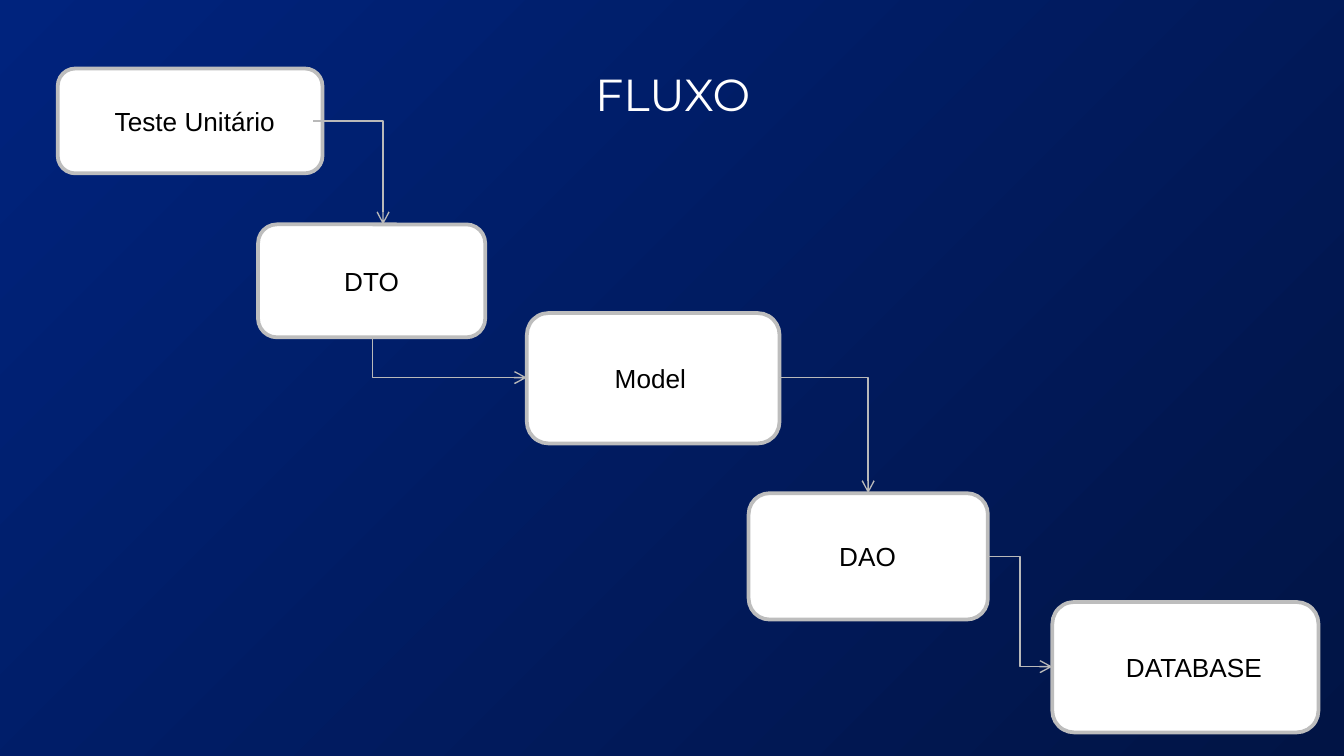
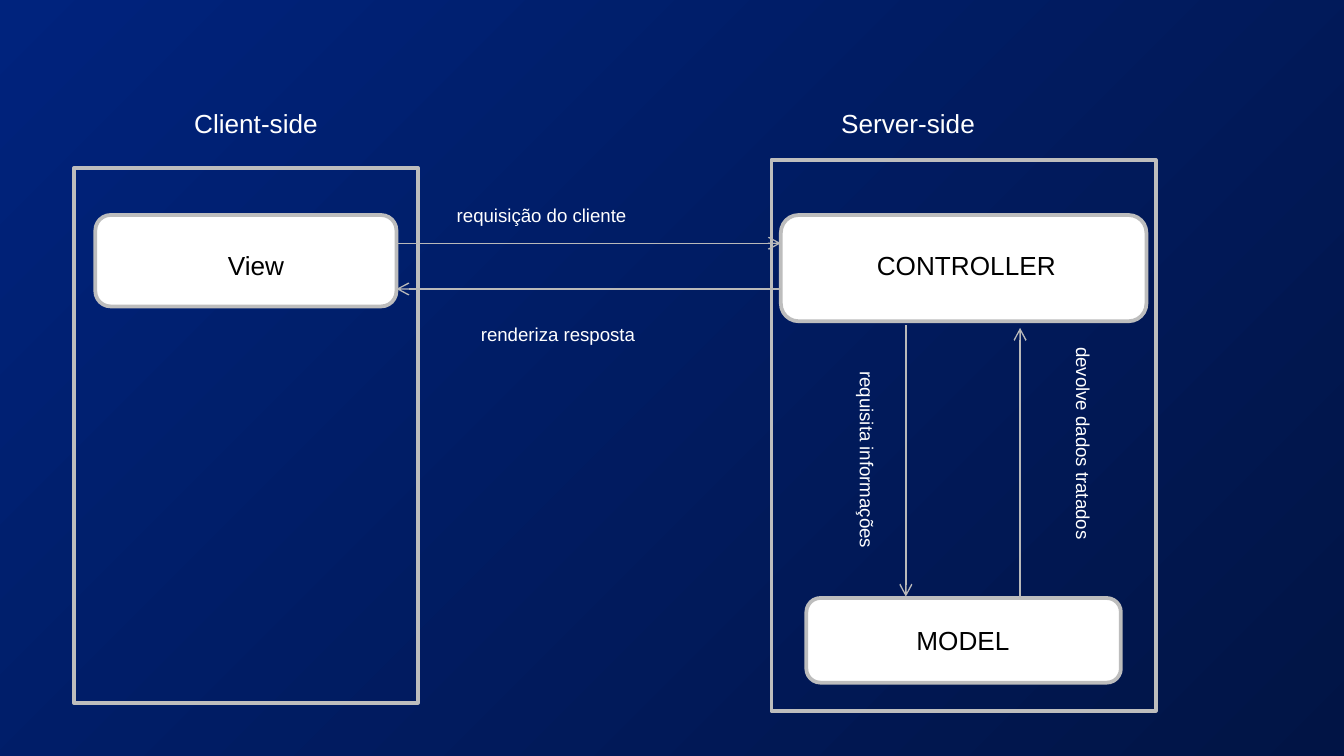
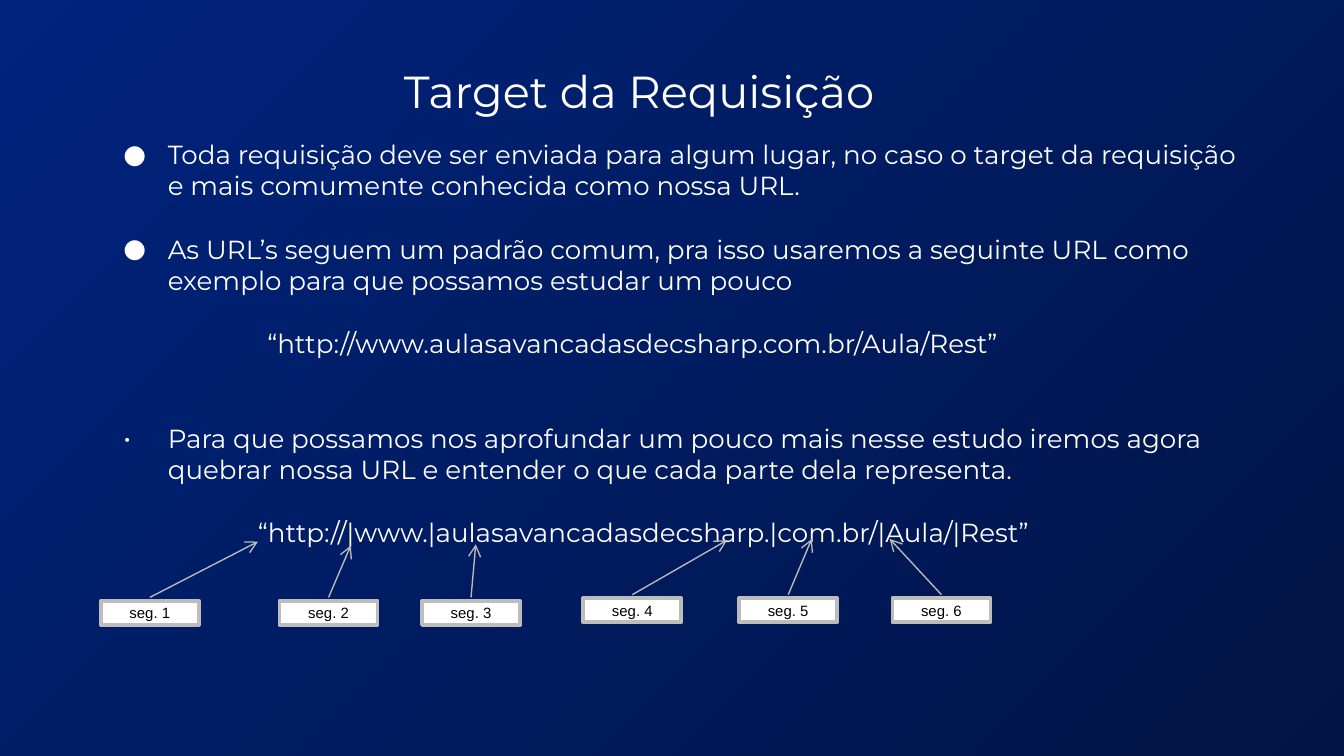
import pptx
import pptx.dml.color
import pptx.enum.shapes
import pptx.enum.text
import pptx.oxml
import pptx.oxml.ns
import pptx.util
from dataclasses import dataclass


@dataclass(frozen=True)
class Theme:
    bg_from: str = "00237D"
    bg_to: str = "011445"
    white: str = "FFFFFF"
    black: str = "000000"
    border: str = "BDBDBD"
    arrow: str = "B9B9B9"
    sans: str = "Arial"
    display: str = "Montserrat"
    title: int = 24
    body: int = 14
    note: int = 10
    tag: int = 8
    border_w: float = 2
    arrow_w: float = 0.75


T = Theme()
RGB = pptx.dml.color.RGBColor.from_string
Pt = pptx.util.Pt
qn = pptx.oxml.ns.qn
NS = pptx.oxml.ns.nsdecls("a")
SHAPE = pptx.enum.shapes.MSO_SHAPE
CONNECTOR = pptx.enum.shapes.MSO_CONNECTOR
ALIGN = pptx.enum.text.PP_ALIGN
ANCHOR = pptx.enum.text.MSO_ANCHOR
ROUND = SHAPE.FLOWCHART_ALTERNATE_PROCESS

# Square grid: 100 columns across, 56.25 rows down
prs = pptx.Presentation()
prs.slide_width = pptx.util.Inches(10)
prs.slide_height = pptx.util.Inches(5.625)
CELL = prs.slide_width / 100


def put(s, text, at, shape=None, fill=None, size=T.body, font=T.sans, color=T.white,
        align=ALIGN.CENTER, anchor=ANCHOR.TOP, inset=0.5, rot=0):
    """Place text, or a bordered shape when one is named; at is in grid cells."""
    at = [round(v * CELL) for v in at]
    if shape is None:
        sp = s.shapes.add_textbox(*at)
    else:
        sp = s.shapes.add_shape(shape, *at)
        sp.shadow.inherit = False
        sp.line.color.rgb = RGB(T.border)
        sp.line.width = Pt(T.border_w)
        if fill:
            sp.fill.solid()
            sp.fill.fore_color.rgb = RGB(fill)
        else:
            sp.fill.background()
    sp.rotation = rot
    tf = sp.text_frame
    tf.word_wrap = True
    tf.vertical_anchor = anchor
    tf.margin_top = tf.margin_bottom = round(inset * CELL)
    tf.text = text
    for p in tf.paragraphs:
        p.alignment = align
        for r in p.runs:
            r.font.size = Pt(size)
            r.font.name = font
            r.font.color.rgb = RGB(color)
    return sp


def arrow(s, start, end, bend=None):
    """Arrow between grid points; bend is 'across', 'down' or 'step'."""
    (x1, y1), (x2, y2) = start, end
    if bend == "down":  # the same elbow, turned a quarter about its centre
        cx, cy, w, h = (x1 + x2) / 2, (y1 + y2) / 2, x2 - x1, y2 - y1
        x1, y1, x2, y2 = cx - h / 2, cy + w / 2, cx + h / 2, cy - w / 2
    kind = CONNECTOR.ELBOW if bend else CONNECTOR.STRAIGHT
    cn = s.shapes.add_connector(kind, *[round(v * CELL) for v in (x1, y1, x2, y2)])
    cn.line.color.rgb = RGB(T.arrow)
    cn.line.width = Pt(T.arrow_w)
    pr = cn.element.spPr
    if bend in ("across", "down"):
        pr.find(qn("a:prstGeom")).set("prst", "bentConnector2")
    if bend == "down":
        pr.find(qn("a:xfrm")).set("rot", "5400000")
    pr.find(qn("a:ln")).append(pptx.oxml.parse_xml(f'<a:tailEnd {NS} type="arrow"/>'))
    pr.append(pptx.oxml.parse_xml(f"<a:effectLst {NS}/>"))


# Shared background: gradient spreading from the top left corner
master = prs.slide_master
fill = master.background.fill
fill.gradient()
for stop, color in zip(fill.gradient_stops, (T.bg_from, T.bg_to)):
    stop.color.rgb = RGB(color)
lin = master.element.xpath("p:cSld/p:bg//a:lin")[0]
lin.getparent().replace(lin, pptx.oxml.parse_xml(
    f'<a:path {NS} path="circle"><a:fillToRect r="100000" b="100000"/></a:path>'))

flow, sides, target = [prs.slides.add_slide(prs.slide_layouts[6]) for _ in range(3)]

# Titles
for s, text, at in [(flow, "FLUXO", (34.7, 2.8, 30.7, 8.3)),
                    (target, "Target da Requisição", (28.6, 2.6, 37.9, 8.3))]:
    put(s, text, at, size=T.title, font=T.display, anchor=ANCHOR.MIDDLE, inset=1)

# Slide 1: steps, each with the left edge and width of its label
steps = [
    ("Teste Unitário", (4.3, 5.1, 19.7, 7.8), 5.7, 17.6, ALIGN.CENTER),
    ("DTO", (19.2, 16.7, 16.9, 8.4), 21.3, 12.7, ALIGN.CENTER),
    ("Model", (39.2, 23.3, 18.8, 9.7), 41.1, 14.6, ALIGN.CENTER),
    ("DAO", (55.7, 36.7, 17.8, 9.4), 58.2, 12.7, ALIGN.CENTER),
    ("DATABASE", (78.3, 44.8, 19.8, 9.7), 82.8, 12.7, ALIGN.LEFT),
]
LABEL_H = 3.3
for text, box, left, width, align in steps:
    put(flow, "", box, shape=ROUND, fill=T.white)
    top = box[1] + (box[3] - LABEL_H) / 2
    put(flow, text, (left, top, width, LABEL_H), color=T.black, align=align)

for start, end, bend in [((23.3, 9), (28.5, 16.7), "across"),
                         ((27.7, 25.1), (39.2, 28.1), "down"),
                         ((58, 28.1), (64.6, 36.7), "across"),
                         ((73.5, 41.4), (78.3, 49.6), "step")]:
    arrow(flow, start, end, bend)

# Slide 2: the two sides and their headings
for text, frame, head, align in [
        ("Client-side", (5.5, 12.5, 25.6, 39.8), (7.6, 22.9), ALIGN.CENTER),
        ("Server-side", (57.4, 11.9, 28.6, 41), (61.6, 20.1), ALIGN.LEFT)]:
    put(sides, "", frame, shape=SHAPE.RECTANGLE)
    put(sides, text, (head[0], 7.5, head[1], LABEL_H), align=align)

# Parts inside the sides
for text, box, label in [
        ("View", (7.1, 16, 22.4, 6.8), (9.2, 18.1, 19.7)),
        ("CONTROLLER", (58.1, 16, 27.2, 7.9), (60.5, 18.1, 22.8)),
        ("MODEL", (60, 44.5, 23.4, 6.3), (61.9, 46, 19.5))]:
    put(sides, "", box, shape=ROUND, fill=T.white)
    put(sides, text, (*label, LABEL_H), color=T.black)

# Messages between the parts
for text, at, rot, start, end in [
        ("requisição do cliente", (33, 14.7, 21.1), 0, (29.5, 18.1), (58.1, 18.1)),
        ("renderiza resposta", (34.8, 23.5, 17.6), 0, (58.1, 21.5), (29.5, 21.5)),
        ("requisita informações", (56.8, 33, 15.4), 90, (67.4, 24.2), (67.4, 44.4)),
        ("devolve dados tratados", (71.2, 32.9, 18.8), 90, (75.9, 44.5), (75.9, 24.4))]:
    arrow(sides, start, end)
    put(sides, text, (*at, 2.7), size=T.note, align=ALIGN.LEFT, rot=rot)

# Slide 3: body as (text, blank lines above, indent in cells, bullet)
body = [
    ("Toda requisição deve ser enviada para algum lugar, no caso o target da requisição "
     "e mais comumente conhecida como nossa URL.", 0, 5, "●"),
    ("As URL’s seguem um padrão comum, pra isso usaremos a seguinte URL como exemplo "
     "para que possamos estudar um pouco", 1, 5, "●"),
    ("“http://www.aulasavancadasdecsharp.com.br/Aula/Rest”", 1, 12.4, None),
    ("Para que possamos nos aprofundar um pouco mais nesse estudo iremos agora quebrar "
     "nossa URL e entender o que cada parte dela representa.", 2, 5, "•"),
    ("“http://|www.|aulasavancadasdecsharp.|com.br/|Aula/|Rest”", 1, 11.7, None),
]
LINE = 17
HANG = 3.3
sp = put(target, "\n".join(row[0] for row in body), (6.5, 9.3, 86.8, 40.1),
         font=T.display, align=ALIGN.LEFT, inset=1)
for p, (_, blanks, indent, bullet) in zip(sp.text_frame.paragraphs, body):
    p.space_before = Pt(blanks * LINE)
    pr = p._p.get_or_add_pPr()
    pr.set("marL", str(round(indent * CELL)))
    pr.set("indent", str(round(-HANG * CELL) if bullet else 0))
    marks = [f'<a:buClr {NS}><a:srgbClr val="{T.white}"/></a:buClr>',
             f'<a:buFont {NS} typeface="{T.display}"/>',
             f'<a:buChar {NS} char="{bullet}"/>'] if bullet else [f"<a:buNone {NS}/>"]
    for mark in marks:
        pr.append(pptx.oxml.parse_xml(mark))

# Segment tags pointing at the parts of the address
TAG_W, TAG_H = 7.3, 1.8
segments = [(7.5, 44.7, (19.2, 40.3)), (20.8, 44.7, (26.1, 40.6)),
            (31.4, 44.7, (35.4, 40.5)), (43.4, 44.5, (54.1, 40.2)),
            (55, 44.5, (60.4, 40.1)), (66.4, 44.5, (66.2, 40.1))]
for n, (left, top, tip) in enumerate(segments, 1):
    put(target, "", (left, top, TAG_W, TAG_H), shape=SHAPE.RECTANGLE, fill=T.white)
    put(target, f"seg. {n}", (left + 0.8, top - 0.25, TAG_W - 1.6, 2.3),
        size=T.tag, color=T.black)
    arrow(target, (left + TAG_W / 2, top - 0.25), tip)

prs.save("out.pptx")
